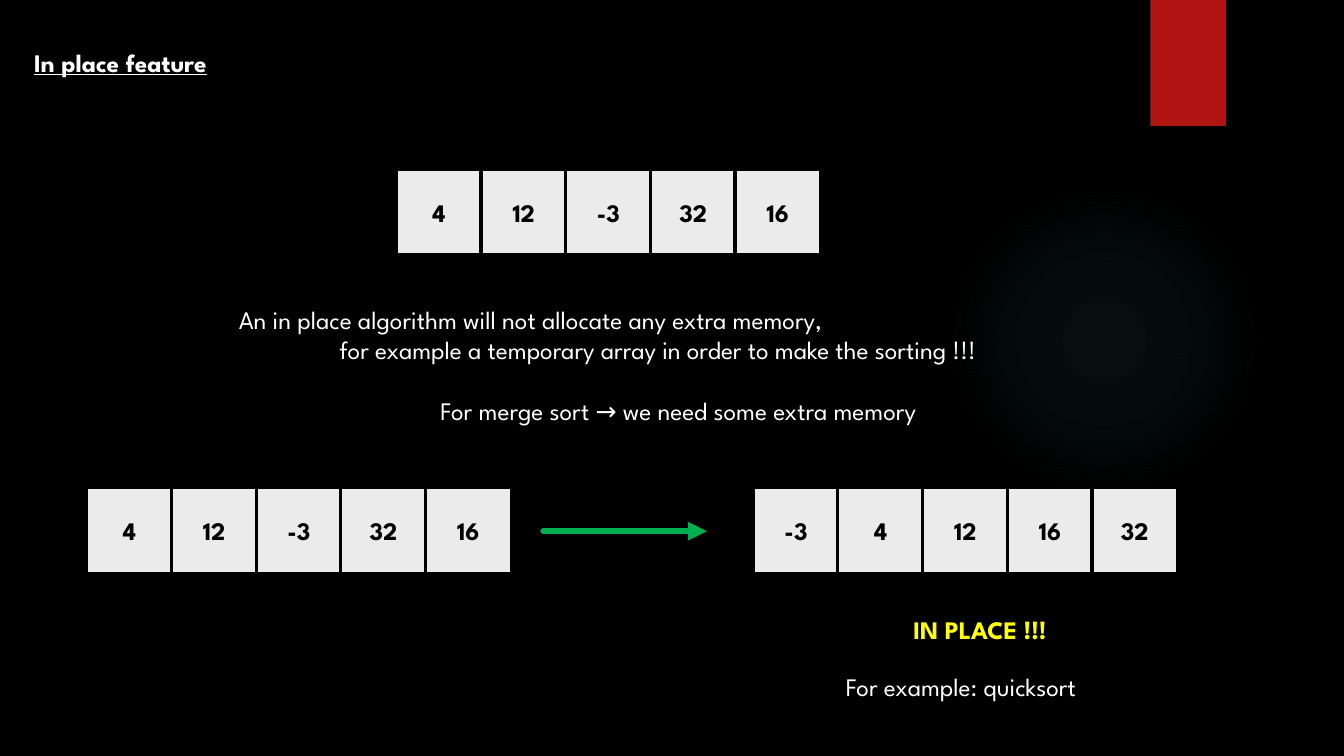
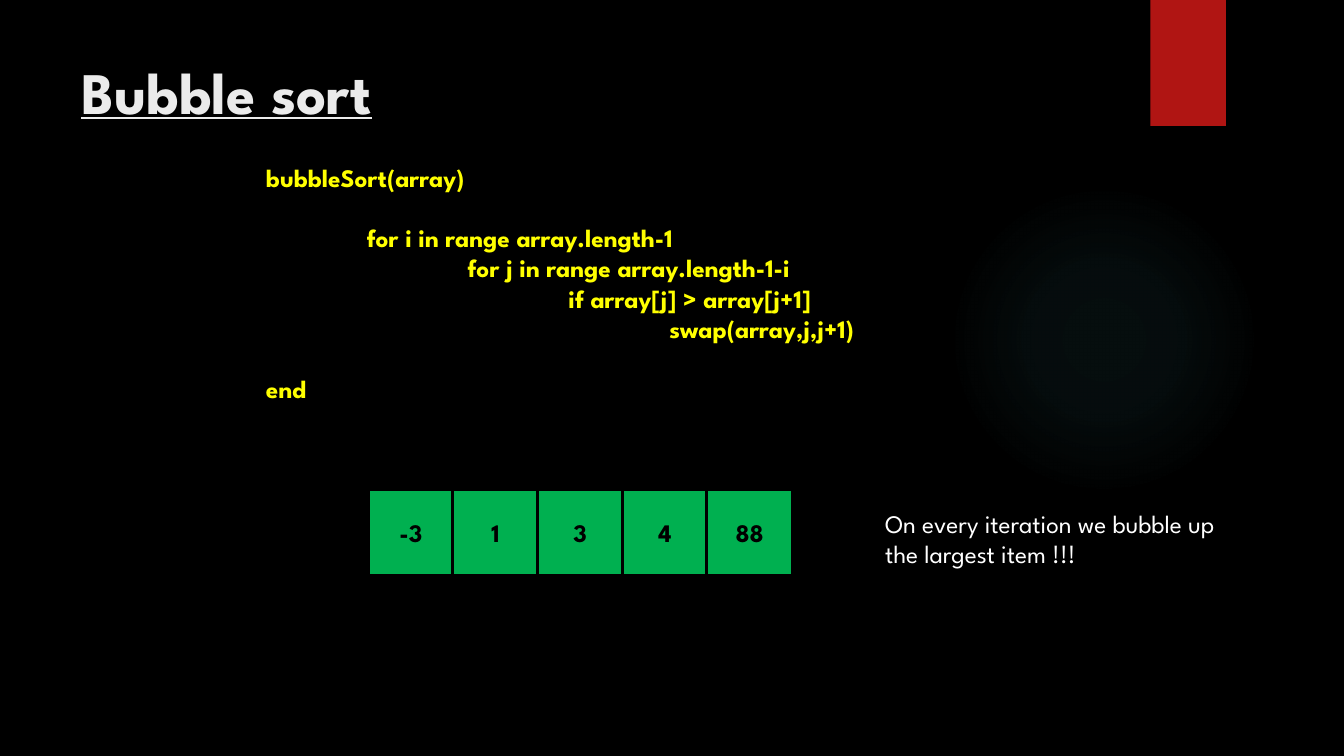
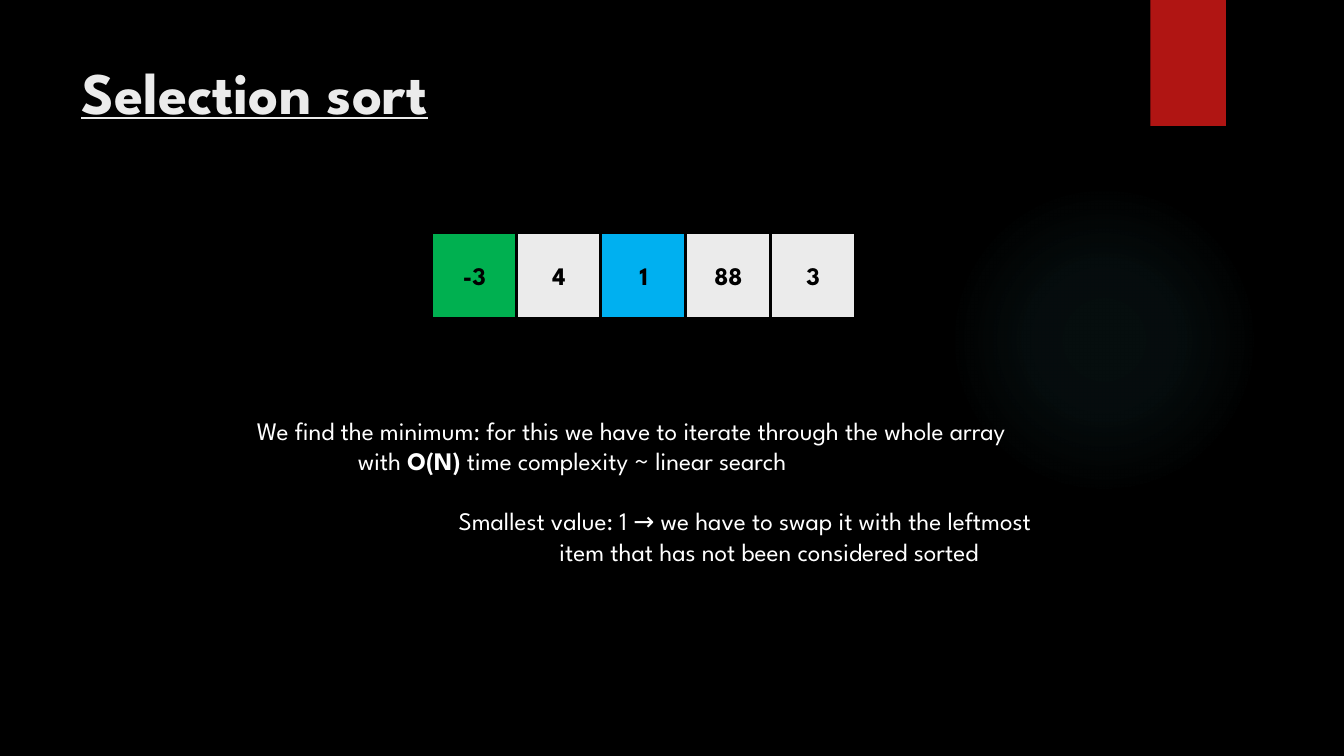
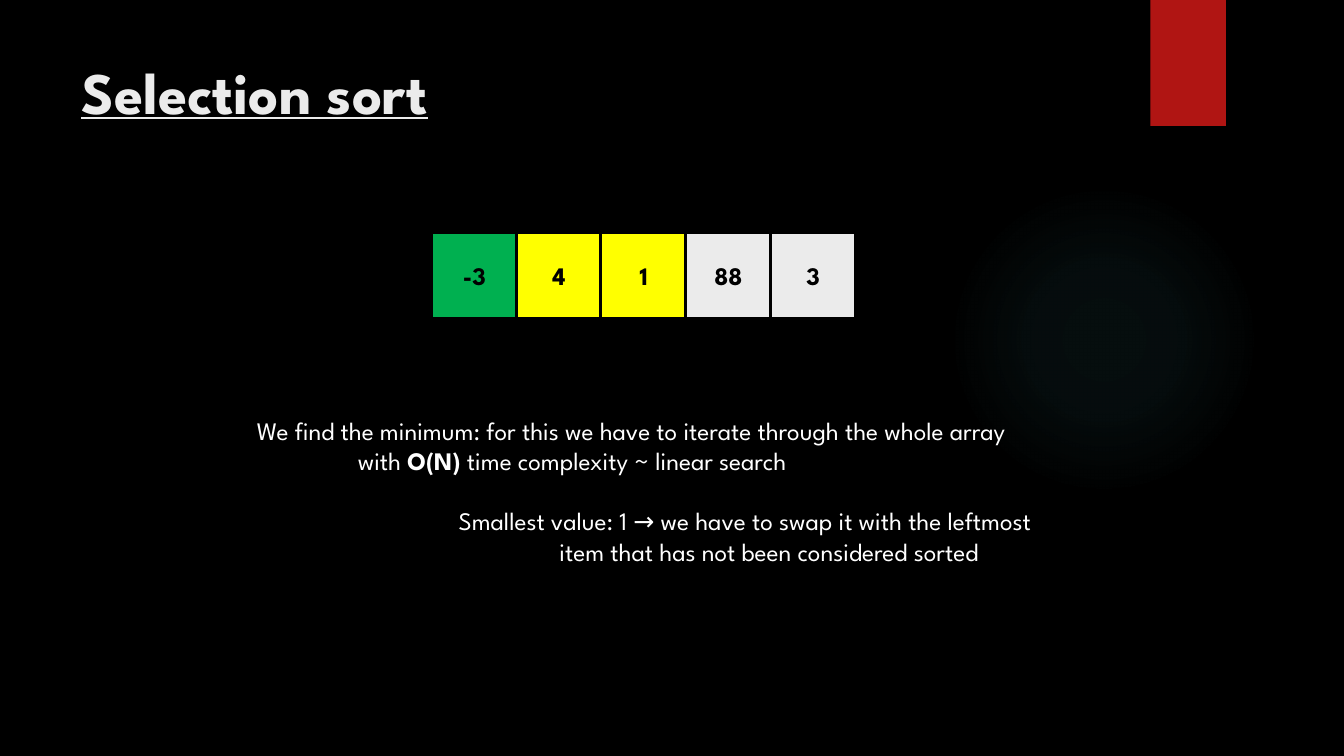
from dataclasses import dataclass

from lxml import etree
from pptx import Presentation
from pptx.dml.color import RGBColor
from pptx.enum import shapes, text
from pptx.oxml import ns, parse_xml
from pptx.util import Inches, Pt


@dataclass(frozen=True)
class Theme:
    font: str = "League Spartan"
    body: float = 18
    head: float = 42
    line: float = 21.5
    black: str = "000000"
    white: str = "FFFFFF"
    pale: str = "EBEBEB"
    red: str = "B01513"
    green: str = "00B050"
    blue: str = "00B0F0"
    yellow: str = "FFFF00"
    glow: str = "50B9C1"


THEME = Theme()
SIDE = 0.85
PITCH = 0.84
STOPS = [(0, 7), (36, 6), (69, 0)]

STEPS = [
    (0, "We find the minimum: for this we have to iterate through the whole array"),
    (1, "with *O(N)* time complexity ~ linear search"),
    (2, "Smallest value: 1 → we have to swap it with the leftmost", True),
    (3, "item that has not been considered sorted"),
]
CODE = [
    (0, "bubbleSort(array)"),
    (1, "for i in range array.length-1", True),
    (2, "for j in range array.length-1-i"),
    (3, "if array[j] > array[j+1]"),
    (4, "swap(array,j,j+1)"),
    (0, "end", True),
]


def rgb(code):
    return RGBColor.from_string(code)


def style(para, color, size=THEME.body, bold=False, under=False):
    font = para.font
    font.name = THEME.font
    font.size = Pt(size)
    font.bold = bold
    font.underline = under
    font.color.rgb = rgb(color)


def shape(slide, kind, box):
    item = slide.shapes.add_shape(kind, *map(Inches, box))
    item.shadow.inherit = False
    item.line.fill.background()
    return item


def block(slide, box, color, fill):
    item = shape(slide, shapes.MSO_SHAPE.RECTANGLE, box)
    item.fill.solid()
    item.fill.fore_color.rgb = rgb(fill)
    item.line.color.rgb = rgb(color)
    item.line.width = Pt(2.25)
    return item


def glow(slide):
    """Draw the soft round light behind the content."""
    item = shape(slide, shapes.MSO_SHAPE.OVAL, (9.41, 1.83, 3.08, 3.08))
    stops = "".join(
        f'<a:gs pos="{pos * 1000}"><a:srgbClr val="{THEME.glow}">'
        f'<a:alpha val="{alpha * 1000}"/></a:srgbClr></a:gs>'
        for pos, alpha in STOPS
    )
    fill = parse_xml(
        f'<a:gradFill {ns.nsdecls("a")}><a:gsLst>{stops}</a:gsLst>'
        '<a:path path="circle"><a:fillToRect l="50000" t="50000"'
        ' r="50000" b="50000"/></a:path></a:gradFill>'
    )
    item.element.spPr.find(ns.qn("a:prstGeom")).addnext(fill)


def band(slide):
    item = block(slide, (11.41, 0, 0.75, 1.25), THEME.red, THEME.red)
    item.line.fill.background()


def page(deck):
    slide = deck.slides.add_slide(deck.slide_layouts[6])
    glow(slide)
    band(slide)
    return slide


def write(slide, box, lines, color=THEME.white, **look):
    """Add lines of (indent, text, gap above); *stars* mark bold words."""
    frame = slide.shapes.add_textbox(*map(Inches, box)).text_frame
    frame.word_wrap = True
    for i, (level, words, *gap) in enumerate(lines):
        para = frame.add_paragraph() if i else frame.paragraphs[0]
        style(para, color, **look)
        if gap:
            para.space_before = Pt(THEME.line)
        if level:
            para._p.get_or_add_pPr().set("marL", str(Inches(level)))
        for j, part in enumerate(words.split("*")):
            run = para.add_run()
            run.text = part
            if j % 2:
                run.font.bold = True


def title(slide, words):
    write(slide, (0.71, 0.5, 10.29, 1.53), [(0, words)], THEME.pale,
          size=THEME.head, bold=True, under=True)


def array(slide, left, top, values, fills=(THEME.pale,) * 5):
    for i, (value, fill) in enumerate(zip(values, fills)):
        cell = block(slide, (left + i * PITCH, top, SIDE, SIDE),
                     THEME.black, fill)
        frame = cell.text_frame
        frame.vertical_anchor = text.MSO_ANCHOR.MIDDLE
        para = frame.paragraphs[0]
        para.text = str(value)
        para.alignment = text.PP_ALIGN.CENTER
        style(para, THEME.black, bold=True)


def arrow(slide, start, end, y):
    line = slide.shapes.add_connector(
        shapes.MSO_CONNECTOR.STRAIGHT, *map(Inches, (start, y, end, y)))
    line.line.color.rgb = rgb(THEME.green)
    line.line.width = Pt(4.5)
    props = line.element.spPr
    edge = props.find(ns.qn("a:ln"))
    edge.set("cap", "rnd")
    etree.SubElement(edge, ns.qn("a:tailEnd"), type="triangle")
    etree.SubElement(props, ns.qn("a:effectLst"))


def in_place(deck):
    slide = page(deck)
    write(slide, (0.24, 0.42, 2.17, 0.4), [(0, "In place feature")],
          bold=True, under=True)
    mixed = [4, 12, -3, 32, 16]
    array(slide, 3.93, 1.68, mixed)
    write(slide, (2.27, 2.97, 8.7, 1.31), [
        (0, "An in place algorithm will not allocate any extra memory,"),
        (1, "for example a temporary array in order to make the sorting !!!"),
        (2, "For merge sort → we need some extra memory", True),
    ])
    array(slide, 0.86, 4.84, mixed)
    arrow(slide, 5.39, 7.01, 5.27)
    array(slide, 7.47, 4.84, sorted(mixed))
    write(slide, (8.96, 6.05, 1.6, 0.4), [(0, "IN PLACE !!!")],
          THEME.yellow, bold=True)
    write(slide, (8.29, 6.61, 2.95, 0.4), [(0, "For example: quicksort")])


def bubble(deck):
    slide = page(deck)
    title(slide, "Bubble sort")
    write(slide, (2.54, 1.56, 6.24, 2.52), CODE, THEME.yellow, bold=True)
    array(slide, 3.65, 4.86, [-3, 1, 3, 4, 88], [THEME.green] * 5)
    write(slide, (8.68, 4.99, 4.2, 0.71), [
        (0, "On every iteration we bubble up"),
        (0, "the largest item !!!"),
    ])


def select(deck, second, third):
    """Add a selection sort step, with the fills of its two active cells."""
    slide = page(deck)
    title(slide, "Selection sort")
    array(slide, 4.28, 2.31, [-3, 4, 1, 88, 3],
          [THEME.green, second, third, THEME.pale, THEME.pale])
    write(slide, (2.45, 4.07, 9.08, 1.62), STEPS)


def main():
    deck = Presentation()
    deck.slide_width = Inches(13.33)
    deck.slide_height = Inches(7.5)
    back = deck.slide_master.background.fill
    back.solid()
    back.fore_color.rgb = rgb(THEME.black)
    in_place(deck)
    bubble(deck)
    select(deck, THEME.pale, THEME.blue)
    select(deck, THEME.yellow, THEME.yellow)
    deck.save("out.pptx")


if __name__ == "__main__":
    main()
